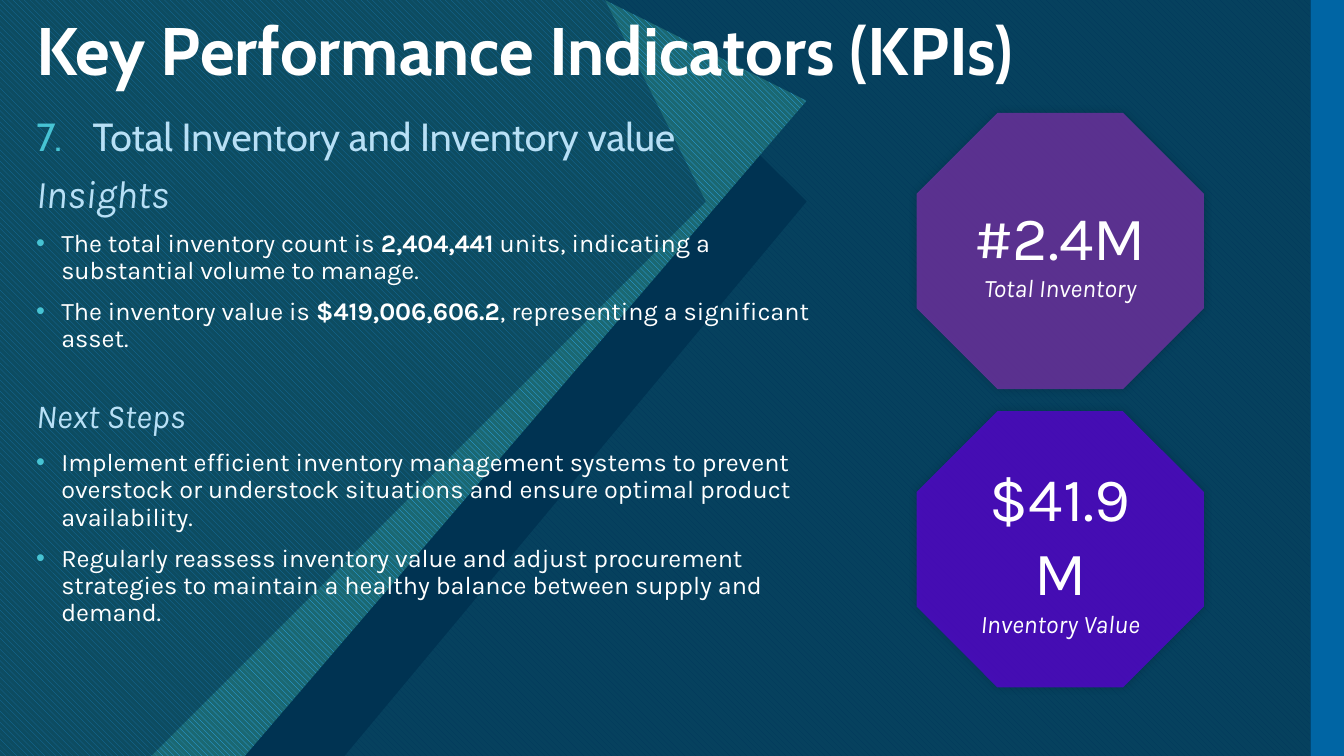
import pptx
import pptx.util
import pptx.dml.color
import pptx.enum.dml
import pptx.enum.shapes
import pptx.enum.text
import pptx.oxml
import pptx.oxml.ns
from lxml import etree

Inches, Pt = pptx.util.Inches, pptx.util.Pt
qn = pptx.oxml.ns.qn
PATTERN = pptx.enum.dml.MSO_PATTERN.WIDE_DOWNWARD_DIAGONAL
PP = pptx.enum.text.PP_ALIGN
MIDDLE = pptx.enum.text.MSO_ANCHOR.MIDDLE

# Content
WHITE, PALE, TEAL, NAVY = "FFFFFF", "B8E0F6", "47C3D3", "003352"
TITLE = "Key Performance Indicators (KPIs)"
HEAD = {"size": 28, "name": "Cabin", "color": PALE}
INSIGHTS = {"size": 28, "name": "Karla", "color": PALE, "italic": True}
STEPS = {**INSIGHTS, "size": 24}
TEXT = {"size": 18, "name": "Karla", "color": WHITE}
BOLD = {**TEXT, "bold": True}
NUMBER = ("buAutoNum", {"type": "arabicPeriod", "startAt": "7"}, 0.56)
BULLET = ("buChar", {"char": "•"}, 0.25)

# Each paragraph: marker, space before, runs
BODY = [
    (NUMBER, 10, [("Total Inventory and Inventory value", HEAD)]),
    (None, 10, [("Insights", INSIGHTS)]),
    (BULLET, 10, [("The total inventory count is ", TEXT), ("2,404,441", BOLD),
                  (" units, indicating a substantial volume to manage.", TEXT)]),
    (BULLET, 10, [("The inventory value is ", TEXT), ("$419,006,606.2", BOLD),
                  (", representing a significant asset.", TEXT)]),
    (None, 33, [("Next Steps", STEPS)]),
    (BULLET, 10, [("Implement efficient inventory management systems to prevent overstock "
                   "or understock situations and ensure optimal product availability.", TEXT)]),
    (BULLET, 10, [("Regularly reassess inventory value and adjust procurement strategies "
                   "to maintain a healthy balance between supply and demand.", TEXT)]),
]
KPIS = [("#2.4M", "Total Inventory", "7030A0"), ("$41.9M", "Inventory Value", "5503CD")]

# Backdrop outlines in inches, back to front: points, colours (two make a pattern), opacity
FIELD = [(4.23, 0), (13.33, 0), (13.33, 7.5), (0, 7.5), (0, 3.63), (2.22, 1.41), (2.82, 1.41)]
BACKDROP = [
    (FIELD, ("0065A4", TEAL), 100),
    (FIELD, (NAVY,), 90),
    ([(0.21, 0.9), (6.64, 0.9), (8.1, 2.36), (2.96, 7.5), (0.21, 7.5)], (NAVY,), 100),
    ([(0, 0), (6.42, 0), (7.87, 1.46), (1.83, 7.5), (0, 7.5)], ("2FAFFF", "1B6872"), 100),
    ([(0, 0), (5.84, 0), (7.35, 1.51), (1.36, 7.5), (0, 7.5)], (NAVY,), 51),
]


def rgb(value):
    return pptx.dml.color.RGBColor.from_string(value)


def paint(sp, colors, opacity=100):
    sp.shadow.inherit = False
    sp.line.fill.background()
    if len(colors) == 2:
        sp.fill.patterned()
        sp.fill.pattern = PATTERN
        sp.fill.fore_color.rgb, sp.fill.back_color.rgb = map(rgb, colors)
        return
    sp.fill.solid()
    sp.fill.fore_color.rgb = rgb(colors[0])
    if opacity < 100:
        clr = sp._element.spPr.find(qn("a:solidFill"))[0]
        etree.SubElement(clr, qn("a:alpha"), val=str(opacity * 1000))


def add_shadow(sp):
    effects = sp._element.spPr.find(qn("a:effectLst"))
    shadow = etree.SubElement(effects, qn("a:outerShdw"), blurRad=str(Pt(6)),
                              dist="0", dir="18900000", rotWithShape="0")
    clr = etree.SubElement(shadow, qn("a:srgbClr"), val="000000")
    etree.SubElement(clr, qn("a:alpha"), val="20000")


def add_run(p, text, style):
    r = p.add_run()
    r.text = text
    for key, value in style.items():
        if key == "color":
            r.font.color.rgb = rgb(value)
        else:
            setattr(r.font, key, Pt(value) if key == "size" else value)


def mark(p, marker):
    tag, attrs, indent = marker
    pPr = p._p.get_or_add_pPr()
    pPr.set("marL", str(Inches(indent)))
    pPr.set("indent", str(-Inches(indent)))
    clr = etree.SubElement(pPr, qn("a:buClr"))
    etree.SubElement(clr, qn("a:srgbClr"), val=TEAL)
    etree.SubElement(pPr, qn("a:buFont"), typeface="+mj-lt" if tag == "buAutoNum" else "Arial")
    etree.SubElement(pPr, qn("a:" + tag), attrs)


def add_text_box(s, left, top, width, height):
    tf = s.shapes.add_textbox(*map(Inches, (left, top, width, height))).text_frame
    tf.word_wrap = True
    return tf


def next_paragraph(tf, i):
    return tf.add_paragraph() if i else tf.paragraphs[0]


def main():
    prs = pptx.Presentation()
    prs.slide_width, prs.slide_height = Inches(13.33), Inches(7.5)
    s = prs.slides.add_slide(prs.slide_layouts[6])
    s.background.fill.solid()
    s.background.fill.fore_color.rgb = rgb("0065A4")

    # Backdrop
    for points, colors, opacity in BACKDROP:
        outline = s.shapes.build_freeform(*points[0], scale=Inches(1))
        outline.add_line_segments(points[1:], close=True)
        paint(outline.convert_to_shape(), colors, opacity)

    # Title
    tf = add_text_box(s, 0.26, 0.17, 12.76, 0.73)
    tf.vertical_anchor = MIDDLE
    tf.paragraphs[0].line_spacing = 0.9
    add_run(tf.paragraphs[0], TITLE, {"size": 48, "name": "Cabin", "color": WHITE, "bold": True})

    # Insights and next steps
    tf = add_text_box(s, 0.26, 1.12, 8.1, 6.06)
    for i, (marker, gap, runs) in enumerate(BODY):
        p = next_paragraph(tf, i)
        p.line_spacing, p.space_before = 0.9, Pt(gap)
        if marker:
            mark(p, marker)
        for text, style in runs:
            add_run(p, text, style)

    # KPI octagons
    for row, (figure, label, color) in enumerate(KPIS):
        sp = s.shapes.add_shape(pptx.enum.shapes.MSO_SHAPE.OCTAGON, Inches(9.09),
                                Inches(1.12 + 2.96 * row), Inches(2.85), Inches(2.74))
        paint(sp, (color,), 80)
        add_shadow(sp)
        tf = sp.text_frame
        tf.word_wrap, tf.vertical_anchor = True, MIDDLE
        lines = [(figure, {**TEXT, "size": 44}), (label, {**TEXT, "italic": True})]
        for i, (text, style) in enumerate(lines):
            p = next_paragraph(tf, i)
            p.alignment = PP.CENTER
            add_run(p, text, style)

    prs.save("out.pptx")


if __name__ == "__main__":
    main()
